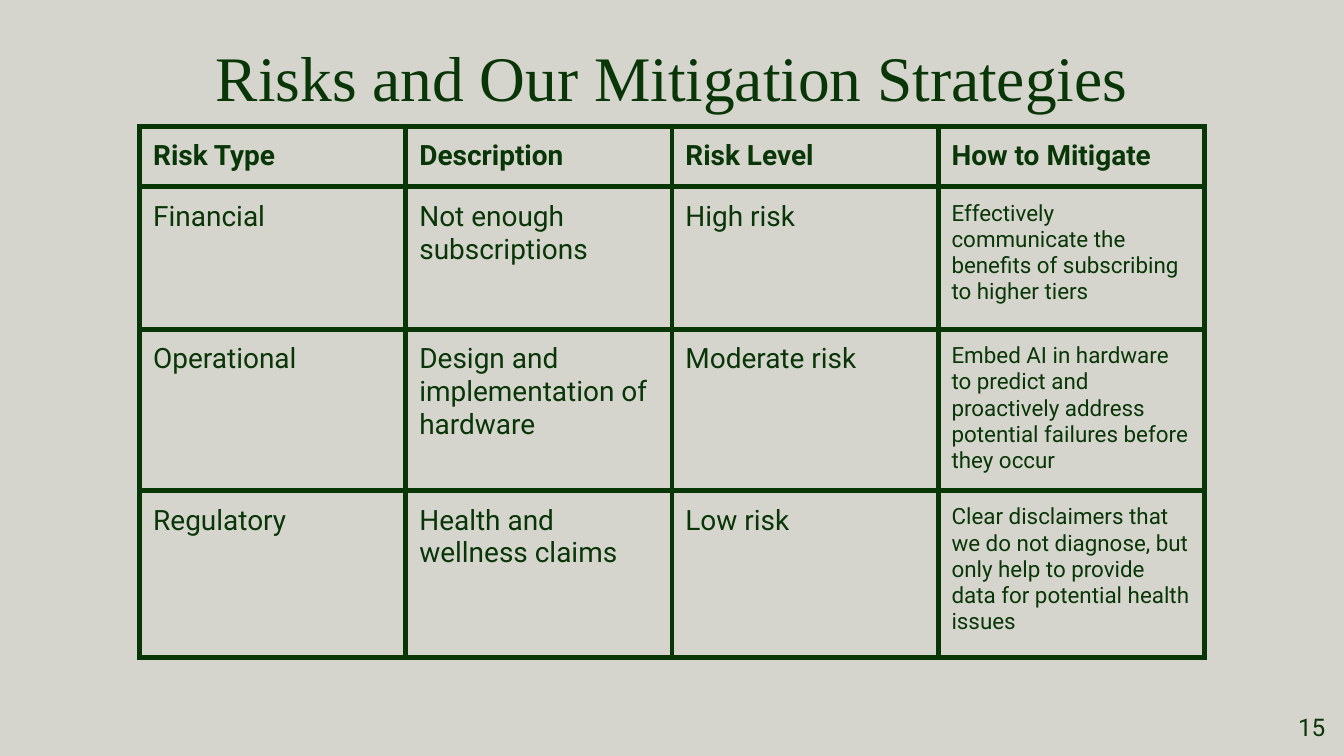
from lxml import etree
from pptx import Presentation
from pptx import util as u
from pptx.dml.color import RGBColor
from pptx.enum import text
from pptx.oxml import ns

GREEN = RGBColor(0x09, 0x36, 0x07)
BACKGROUND = RGBColor(0xD6, 0xD5, 0xCD)
INSET = u.Inches(0.1)


def write(frame, content, *, size, font="Roboto", bold=False,
          align=text.PP_ALIGN.LEFT):
    frame.word_wrap = True
    paragraph = frame.paragraphs[0]
    paragraph.alignment = align
    run = paragraph.add_run()
    run.text = content
    run.font.name = font
    run.font.size = u.Pt(size)
    run.font.bold = bold
    run.font.color.rgb = GREEN


def format_box(box):
    box.margin_left = box.margin_right = INSET
    box.margin_top = box.margin_bottom = INSET


presentation = Presentation()
presentation.slide_width = u.Inches(10)
presentation.slide_height = presentation.slide_width * 9 // 16
slide = presentation.slides.add_slide(presentation.slide_layouts[6])
slide.background.fill.solid()
slide.background.fill.fore_color.rgb = BACKGROUND

# Page number
page_number = slide.shapes.add_textbox(
    u.Inches(9.36), u.Inches(5.19), u.Inches(0.6), u.Inches(0.43))
format_box(page_number.text_frame)
page_number.text_frame.vertical_anchor = text.MSO_ANCHOR.MIDDLE
write(page_number.text_frame, "15", size=13, align=text.PP_ALIGN.RIGHT)

# Risk table
ROWS = [
    ("Risk Type", "Description", "Risk Level", "How to Mitigate"),
    ("Financial", "Not enough subscriptions", "High risk",
     "Effectively communicate the benefits of subscribing to higher tiers"),
    ("Operational", "Design and implementation of hardware", "Moderate risk",
     "Embed AI in hardware to predict and proactively address potential "
     "failures before they occur"),
    ("Regulatory", "Health and wellness claims", "Low risk",
     "Clear disclaimers that we do not diagnose, but only help to provide "
     "data for potential health issues"),
]
ROW_HEIGHTS = (0.45, 1.06, 1.06, 1.24)
COLUMN_WIDTH = 1.98

table = slide.shapes.add_table(
    len(ROWS), len(ROWS[0]), u.Inches(1.04), u.Inches(0.94),
    u.Inches(COLUMN_WIDTH * len(ROWS[0])), u.Inches(sum(ROW_HEIGHTS))).table
table.horz_banding = False
for column in table.columns:
    column.width = u.Inches(COLUMN_WIDTH)

for row_index, (values, height) in enumerate(zip(ROWS, ROW_HEIGHTS)):
    table.rows[row_index].height = u.Inches(height)
    is_header = row_index == 0
    for column_index, value in enumerate(values):
        cell = table.cell(row_index, column_index)
        format_box(cell)
        # Cell borders
        properties = cell._tc.get_or_add_tcPr()
        for side in ("a:lnL", "a:lnR", "a:lnT", "a:lnB"):
            line = etree.SubElement(properties, ns.qn(side), w=str(u.Pt(3)))
            fill = etree.SubElement(line, ns.qn("a:solidFill"))
            etree.SubElement(fill, ns.qn("a:srgbClr"), val=str(GREEN))
        cell.fill.background()
        is_mitigation = column_index == 3 and not is_header
        write(cell.text_frame, value, size=12 if is_mitigation else 15,
              bold=is_header)

# Title
title = slide.shapes.add_textbox(
    u.Inches(0.02), u.Inches(0.18), u.Inches(9.96), u.Inches(0.32))
format_box(title.text_frame)
write(title.text_frame, "Risks and Our Mitigation Strategies", size=34,
      font="Times New Roman", align=text.PP_ALIGN.CENTER)

presentation.save("out.pptx")
